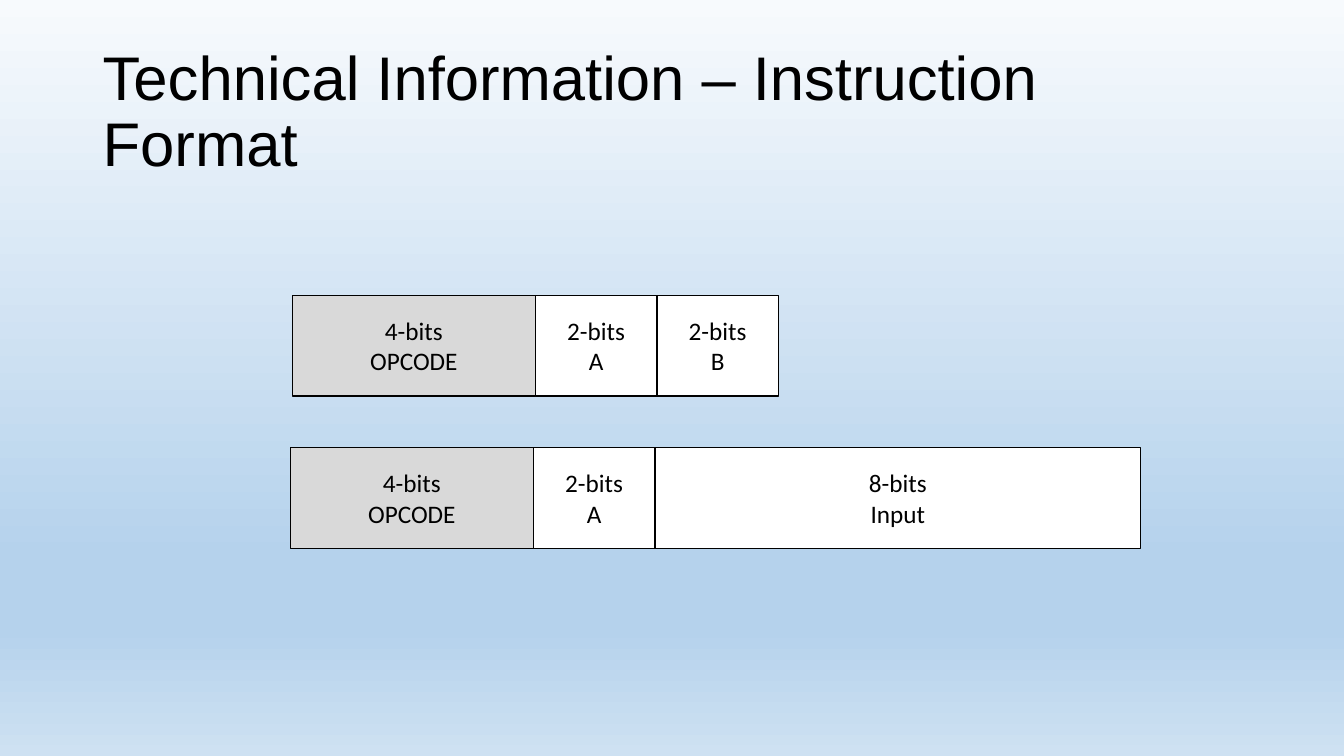
from dataclasses import dataclass

from lxml import etree
from pptx import Presentation
from pptx import util as u
from pptx.dml.color import RGBColor
from pptx.enum import shapes, text
from pptx.oxml import ns
from pptx.slide import Slide


@dataclass(frozen=True)
class Theme:
    title_font: str = "Arial"
    field_font: str = "Calibri"
    title_size: int = 44
    field_size: int = 18
    ink: str = "000000"
    opcode_fill: str = "D9D9D9"
    operand_fill: str = "FFFFFF"
    background: tuple[tuple[int, str], ...] = (
        (0, "F7FAFD"),
        (74, "B5D2EC"),
        (83, "B5D2EC"),
        (100, "CEE1F2"),
    )


@dataclass(frozen=True)
class Field:
    bits: int
    label: str
    fill: str


@dataclass(frozen=True)
class Instruction:
    left: float
    top: float
    fields: tuple[Field, ...]


THEME = Theme()
BIT_WIDTH = 2.41 / 4
FIELD_HEIGHT = 1

OPCODE = Field(4, "OPCODE", THEME.opcode_fill)
REGISTER_A = Field(2, "A", THEME.operand_fill)
REGISTER_B = Field(2, "B", THEME.operand_fill)
INPUT = Field(8, "Input", THEME.operand_fill)

INSTRUCTIONS = (
    Instruction(2.9, 2.93, (OPCODE, REGISTER_A, REGISTER_B)),
    Instruction(2.88, 4.44, (OPCODE, REGISTER_A, INPUT)),
)


def paint_background(slide: Slide) -> None:
    """Fill the slide with the theme's vertical gradient of several stops."""
    fill = slide.background.fill
    fill.gradient()
    fill.gradient_angle = 270
    stops = slide.element.find(".//" + ns.qn("a:gsLst"))
    for stop in list(stops):
        stops.remove(stop)
    for percent, color in THEME.background:
        stop = etree.SubElement(stops, ns.qn("a:gs"), pos=str(percent * 1000))
        etree.SubElement(stop, ns.qn("a:srgbClr"), val=color)


def add_title(slide: Slide, title: str) -> None:
    box = slide.shapes.add_textbox(
        u.Inches(0.92), u.Inches(0.4), u.Inches(11.5), u.Inches(1.45)
    )
    frame = box.text_frame
    frame.word_wrap = True
    frame.vertical_anchor = text.MSO_ANCHOR.MIDDLE
    paragraph = frame.paragraphs[0]
    paragraph.text = title
    paragraph.line_spacing = 0.9
    paragraph.font.name = THEME.title_font
    paragraph.font.size = u.Pt(THEME.title_size)
    paragraph.font.color.rgb = RGBColor.from_string(THEME.ink)


def add_field(slide: Slide, field: Field, left: float, top: float) -> None:
    shape = slide.shapes.add_shape(
        shapes.MSO_SHAPE.RECTANGLE,
        u.Inches(left),
        u.Inches(top),
        u.Inches(field.bits * BIT_WIDTH),
        u.Inches(FIELD_HEIGHT),
    )
    shape.shadow.inherit = False
    shape.fill.solid()
    shape.fill.fore_color.rgb = RGBColor.from_string(field.fill)
    shape.line.color.rgb = RGBColor.from_string(THEME.ink)
    shape.line.width = u.Pt(1)
    frame = shape.text_frame
    frame.word_wrap = True
    frame.vertical_anchor = text.MSO_ANCHOR.MIDDLE
    frame.text = f"{field.bits}-bits\n{field.label}"
    for paragraph in frame.paragraphs:
        paragraph.alignment = text.PP_ALIGN.CENTER
        paragraph.font.name = THEME.field_font
        paragraph.font.size = u.Pt(THEME.field_size)
        paragraph.font.color.rgb = RGBColor.from_string(THEME.ink)


def add_instruction(slide: Slide, instruction: Instruction) -> None:
    """Lay the fields side by side, each as wide as its bit count."""
    left = instruction.left
    for field in instruction.fields:
        add_field(slide, field, left, instruction.top)
        left += field.bits * BIT_WIDTH


def main() -> None:
    presentation = Presentation()
    presentation.slide_width = u.Inches(13.33)
    presentation.slide_height = u.Inches(7.5)
    slide = presentation.slides.add_slide(presentation.slide_layouts[6])
    paint_background(slide)
    add_title(slide, "Technical Information – Instruction Format")
    for instruction in INSTRUCTIONS:
        add_instruction(slide, instruction)
    presentation.save("out.pptx")


if __name__ == "__main__":
    main()
